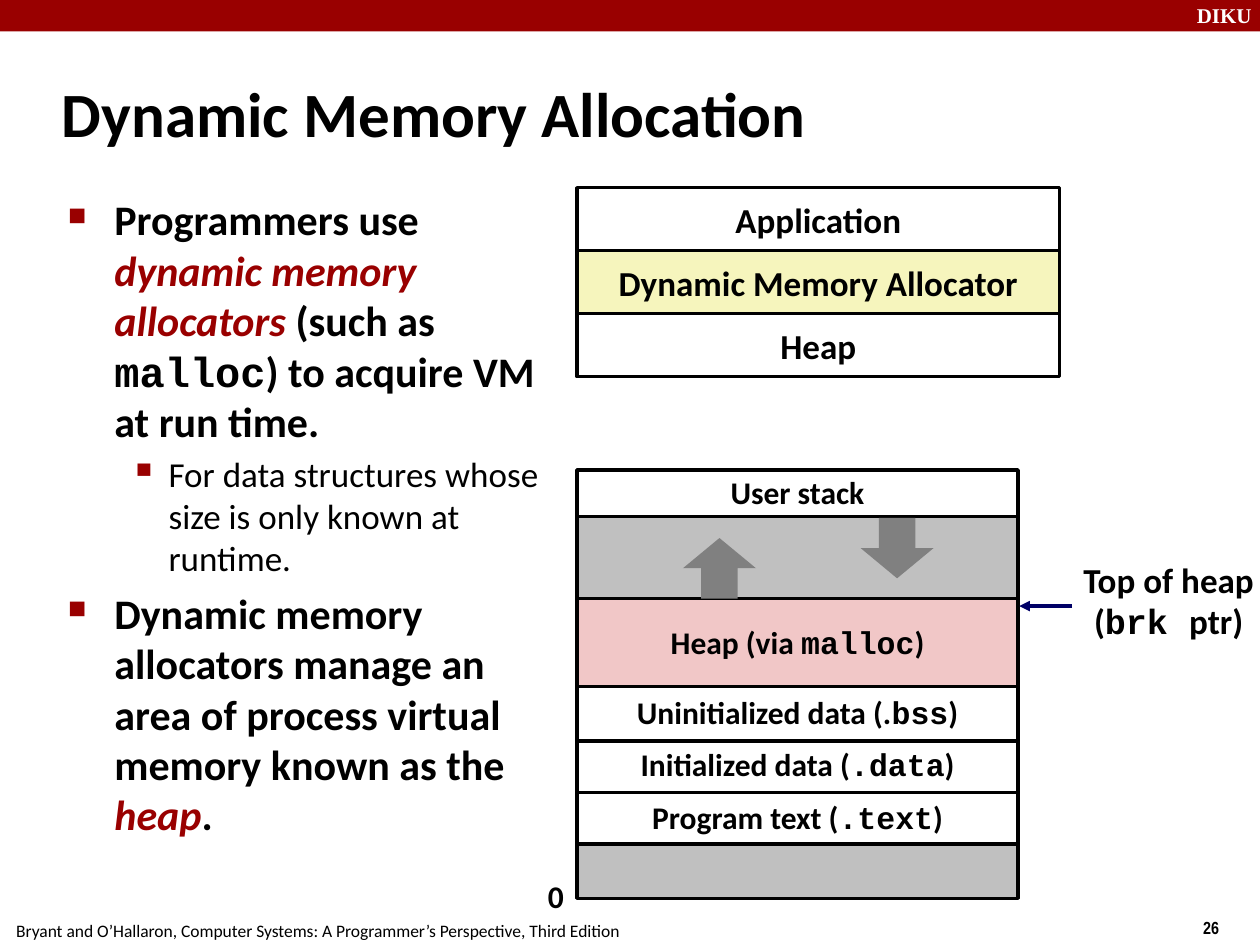
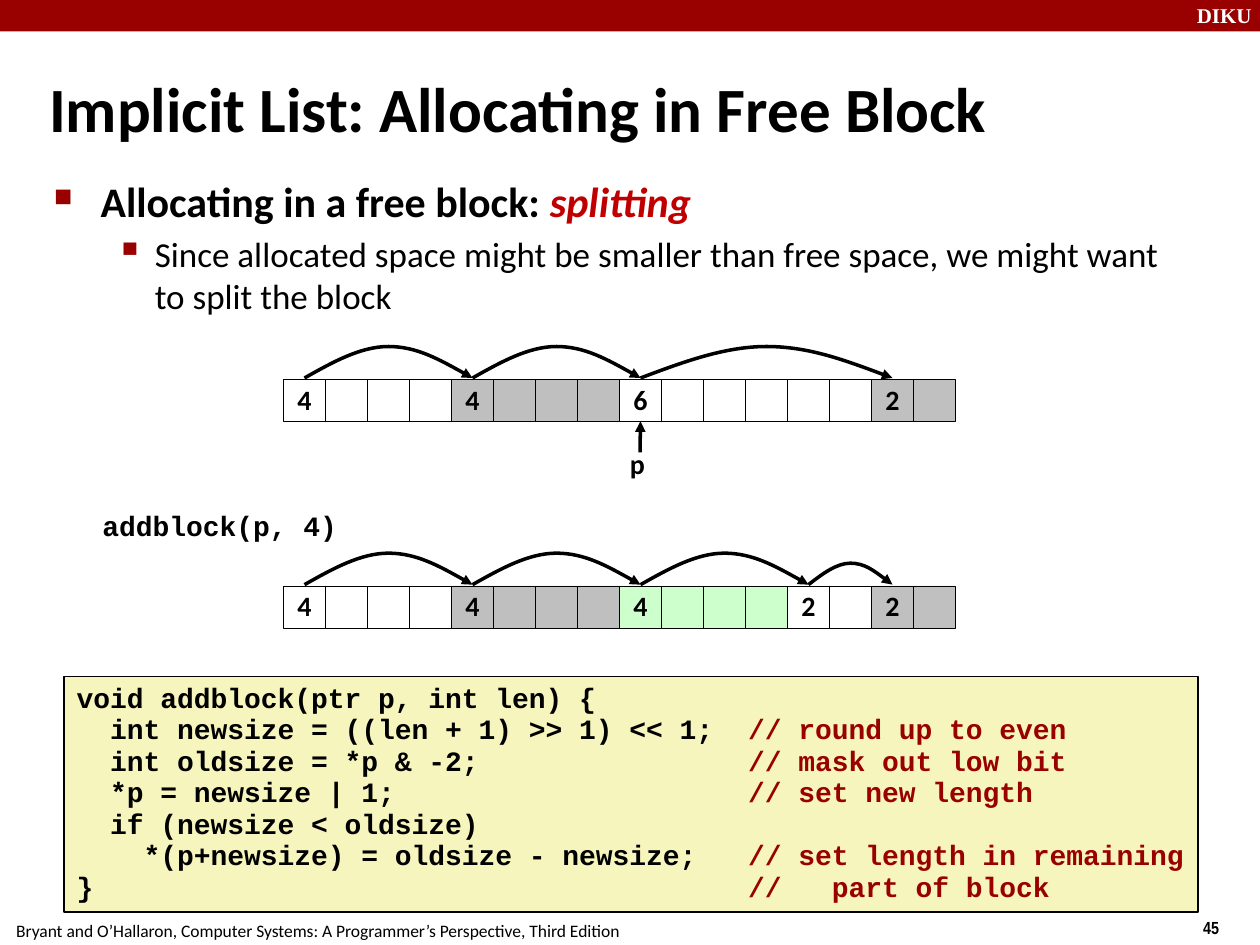
"""Builds two lecture slides on dynamic memory allocation."""
from dataclasses import dataclass

from lxml import etree
from pptx import Presentation
from pptx.dml.color import RGBColor
from pptx.enum.shapes import MSO_CONNECTOR, MSO_SHAPE
from pptx.enum.text import MSO_ANCHOR, MSO_AUTO_SIZE, PP_ALIGN
from pptx.oxml.ns import qn
from pptx.util import Inches, Pt

RECT, DOWN, UP = MSO_SHAPE.RECTANGLE, MSO_SHAPE.DOWN_ARROW, MSO_SHAPE.UP_ARROW
TOP, MID = MSO_ANCHOR.TOP, MSO_ANCHOR.MIDDLE
LEFT, MIDDLE = PP_ALIGN.LEFT, PP_ALIGN.CENTER
STRAIGHT = MSO_CONNECTOR.STRAIGHT
FIXED = MSO_AUTO_SIZE.NONE


@dataclass(frozen=True)
class Theme:
    red: str = "990000"
    crimson: str = "C00000"
    navy: str = "000066"
    black: str = "000000"
    white: str = "FFFFFF"
    gray: str = "BFBFBF"
    silver: str = "C0C0C0"
    slate: str = "808080"
    pink: str = "F1C7C7"
    cream: str = "F6F5BD"
    mint: str = "CCFFCC"
    sans: str = "Calibri"
    mono: str = "Courier New"
    serif: str = "Times New Roman"
    narrow: str = "Arial Narrow"
    title: int = 36
    body: int = 24
    sub: int = 20
    label: int = 18
    small: int = 16
    mark: int = 12
    foot: int = 10


T = Theme()
PLAIN = {}
MONO = {"name": T.mono}
NOTE = {"name": T.mono, "color": T.red}
TERM = {"italic": True, "color": T.red}
SPLIT = {"italic": True, "color": T.crimson}
SUB = {"size": T.sub, "bold": False}


def write(shape, rows, size, anchor=TOP, align=LEFT, spacing=None, wrap=False):
    frame = shape.text_frame
    look = {"word_wrap": wrap, "auto_size": FIXED, "vertical_anchor": anchor}
    for key, value in look.items():
        setattr(frame, key, value)
    for i, row in enumerate(rows):
        par = frame.add_paragraph() if i else frame.paragraphs[0]
        par.alignment = align
        if spacing:
            par.line_spacing = spacing
        for text, style in row:
            run = par.add_run()
            run.text = text
            form = {"name": T.sans, "size": size, "bold": True, "color": T.black} | style
            run.font.color.rgb = RGBColor.from_string(form.pop("color"))
            form["size"] = Pt(form["size"])
            for key, value in form.items():
                setattr(run.font, key, value)


def draw(slide, kind, spot, fill, width=None):
    shape = slide.shapes.add_shape(kind, *map(Inches, spot))
    shape.shadow.inherit = False
    shape.fill.solid()
    shape.fill.fore_color.rgb = RGBColor.from_string(fill)
    if width:
        shape.line.color.rgb = RGBColor.from_string(T.black)
        shape.line.width = Pt(width)
    else:
        shape.line.fill.background()
    return shape


deck = Presentation()
deck.slide_width, deck.slide_height = Inches(10), Inches(7.5)

pages = [
    ("Dynamic Memory Allocation", (0.39, 0.48, 8.3, 0.83), "26", (0.43, 1.49, 4.14, 5.44), [
        (0, [("Programmers use ", PLAIN), ("dynamic memory allocators ", TERM),
             ("(such as ", PLAIN), ("malloc", MONO), (") to acquire VM at run time.", PLAIN)]),
        (1, [("For data structures whose size is only known at runtime.", SUB)]),
        (0, [("Dynamic memory allocators manage an area of process virtual memory known as the ",
              PLAIN), ("heap", TERM), (".", PLAIN)]),
    ]),
    ("Implicit List: Allocating in Free Block", (0.29, 0.54, 9.42, 0.63), "45",
     (0.32, 1.34, 9.08, 3), [
        (0, [("Allocating in a free block: ", PLAIN), ("splitting", SPLIT)]),
        (1, [("Since allocated space might be smaller than free space, "
              "we might want to split the block", SUB)]),
    ]),
]
credit = "Bryant and O’Hallaron, Computer Systems: A Programmer’s Perspective, Third Edition"
levels = [(0.38, -0.37, 4.8, "■", 60), (0.81, -0.31, 4, "▪", 110)]

for head, place, number, area, points in pages:
    slide = deck.slides.add_slide(deck.slide_layouts[5])
    draw(slide, RECT, (0, 0, 10, 0.25), T.red)
    for text, spot, size, style in [
        ("DIKU", (9.4, -0.03, 0.67, 0.3), T.mark, {"name": T.serif, "color": T.white}),
        (number, (9.45, 7.23, 0.55, 0.29), T.foot, {"name": T.narrow}),
        (credit, (0.03, 7.25, 4.99, 0.27), T.foot, {"bold": False}),
    ]:
        write(slide.shapes.add_textbox(*map(Inches, spot)), [[(text, style)]], size)
    title = slide.shapes.title
    for key, value in zip(("left", "top", "width", "height"), place):
        setattr(title, key, Inches(value))
    write(title, [[(head, PLAIN)]], T.title, MID, wrap=True)
    body = slide.shapes.add_textbox(*map(Inches, area))
    write(body, [runs for level, runs in points], T.body, wrap=True)
    for i, (par, (level, runs)) in enumerate(zip(body.text_frame.paragraphs, points)):
        margin, indent, before, sign, scale = levels[level]
        par.level = level
        props = par._p.get_or_add_pPr()
        props.set("marL", str(Inches(margin)))
        props.set("indent", str(Inches(indent)))
        tint = etree.SubElement(props, qn("a:buClr"))
        etree.SubElement(tint, qn("a:srgbClr"), val=T.red)
        etree.SubElement(props, qn("a:buSzPct"), val=str(scale * 1000))
        etree.SubElement(props, qn("a:buChar"), char=sign)
        par.space_before = Pt(before if i else 0)

heap, split = deck.slides
strokes = []

stack = [
    (4.08, 0.67, T.silver, []),
    (4.75, 0.71, T.pink, [("Heap (via ", PLAIN), ("malloc", MONO), (")", PLAIN)]),
    (6.28, 0.43, T.white, [("Program text (", PLAIN), (".text", MONO), (")", PLAIN)]),
    (5.86, 0.43, T.white, [("Initialized data (", PLAIN), (".data", MONO), (")", PLAIN)]),
    (5.45, 0.43, T.white, [("Uninitialized data (.", PLAIN), ("bss", MONO), (")", PLAIN)]),
    (3.73, 0.37, T.white, [("User stack", PLAIN)]),
    (6.7, 0.43, T.silver, []),
]
for top, height, fill, runs in stack:
    part = draw(heap, RECT, (4.58, top, 3.5, height), fill, 2)
    if runs:
        write(part, [runs], T.label, MID, MIDDLE, 0.98)

zero = heap.shapes.add_textbox(*map(Inches, (4.25, 6.93, 0.32, 0.4)))
write(zero, [[("0", PLAIN)]], T.label, spacing=0.98)
brk = heap.shapes.add_textbox(*map(Inches, (8.5, 4.4, 1.55, 0.76)))
write(brk, [[("Top of heap", PLAIN)], [("(", PLAIN), ("brk ", MONO), ("ptr)", PLAIN)]],
      T.sub, align=MIDDLE, spacing=0.98)
link = heap.shapes.add_connector(STRAIGHT, *map(Inches, (8.51, 4.81, 8.09, 4.81)))
strokes.append((link, T.navy))
draw(heap, DOWN, (6.83, 4.11, 0.58, 0.48), T.slate)
draw(heap, UP, (5.42, 4.27, 0.58, 0.48), T.slate)

layers = [("Application", T.white), ("Dynamic Memory Allocator", T.cream), ("Heap", T.white)]
for i, (text, fill) in enumerate(layers):
    layer = draw(heap, RECT, (4.58, 1.49 + i * 0.5, 3.83, 0.5), fill, 2)
    write(layer, [[(text, PLAIN)]], T.sub, MID, MIDDLE)

code = [
    ("void addblock(ptr p, int len) {", ""),
    ("  int newsize = ((len + 1) >> 1) << 1;", "// round up to even"),
    ("  int oldsize = *p & -2;", "// mask out low bit"),
    ("  *p = newsize | 1;", "// set new length"),
    ("  if (newsize < oldsize)", ""),
    ("    *(p+newsize) = oldsize - newsize;", "// set length in remaining"),
    ("}", "//   part of block"),
]
panel = draw(split, RECT, (0.51, 5.37, 9, 1.87), T.cream, 1)
rows = [[(left, MONO)] + ([("\t" + note, NOTE)] if note else []) for left, note in code]
write(panel, rows, T.small, spacing=0.94)
for par in panel.text_frame.paragraphs:
    tabs = etree.SubElement(par._p.get_or_add_pPr(), qn("a:tabLst"))
    etree.SubElement(tabs, qn("a:tab"), pos=str(Inches(5.33)), algn="l")

lists = [
    (3.01, [(4, T.white), (4, T.gray), (6, T.white), (2, T.silver)]),
    (4.65, [(4, T.white), (4, T.gray), (4, T.mint), (2, T.white), (2, T.silver)]),
]
side = 1 / 3
curve = [(0, 1), (1 / 6, 0.5), (1 / 3, 0), (1 / 2, 0), (2 / 3, 0), (5 / 6, 0.5), (1, 1)]
heads = {}
for top, blocks in lists:
    start = 0
    for b, (count, fill) in enumerate(blocks):
        for i in range(start, start + count):
            cell = draw(split, RECT, (2.25 + i * side, top, side, side), fill, 0.25)
            if i == start:
                write(cell, [[(str(count), PLAIN)]], T.small, MID, MIDDLE, 0.98)
                heads[top, b] = cell
        start += count
    start = 0
    for count, fill in blocks[:-1]:
        rise = 0.25 if count > 2 else 0.17
        left = 2.25 + (start + 0.5) * side
        dots = [(Inches(left + x * count * side), Inches(top - 0.01 - rise * (1 - y)))
                for x, y in curve]
        pen = split.shapes.build_freeform(*dots[0])
        pen.add_line_segments(dots[1:], close=False)
        arc = pen.convert_to_shape()
        arc.fill.background()
        track = arc._element.find(".//" + qn("a:path"))
        legs = track.findall(qn("a:lnTo"))
        for k in range(0, len(legs), 3):
            bend = etree.SubElement(track, qn("a:cubicBezTo"))
            for leg in legs[k:k + 3]:
                bend.append(leg[0])
                track.remove(leg)
        strokes.append((arc, T.black))
        start += count

link = split.shapes.add_connector(STRAIGHT, *map(Inches, (5.08, 3.59, 5.08, 3.34)))
link.end_connect(heads[3.01, 2], 2)
strokes.append((link, T.black))
ptr = split.shapes.add_textbox(*map(Inches, (4.9, 3.51, 0.32, 0.37)))
write(ptr, [[("p", PLAIN)]], T.small, spacing=0.98)
call = split.shapes.add_textbox(*map(Inches, (0.76, 4.03, 1.97, 0.37)))
write(call, [[("addblock(p, 4)", MONO)]], T.small, align=MIDDLE, spacing=0.85)

for stroke, color in strokes:
    stroke.line.color.rgb = RGBColor.from_string(color)
    stroke.line.width = Pt(2)
    etree.SubElement(stroke._element.find(".//" + qn("a:ln")), qn("a:tailEnd"), type="triangle")
    etree.SubElement(stroke._element.spPr, qn("a:effectLst"))

deck.save("out.pptx")
